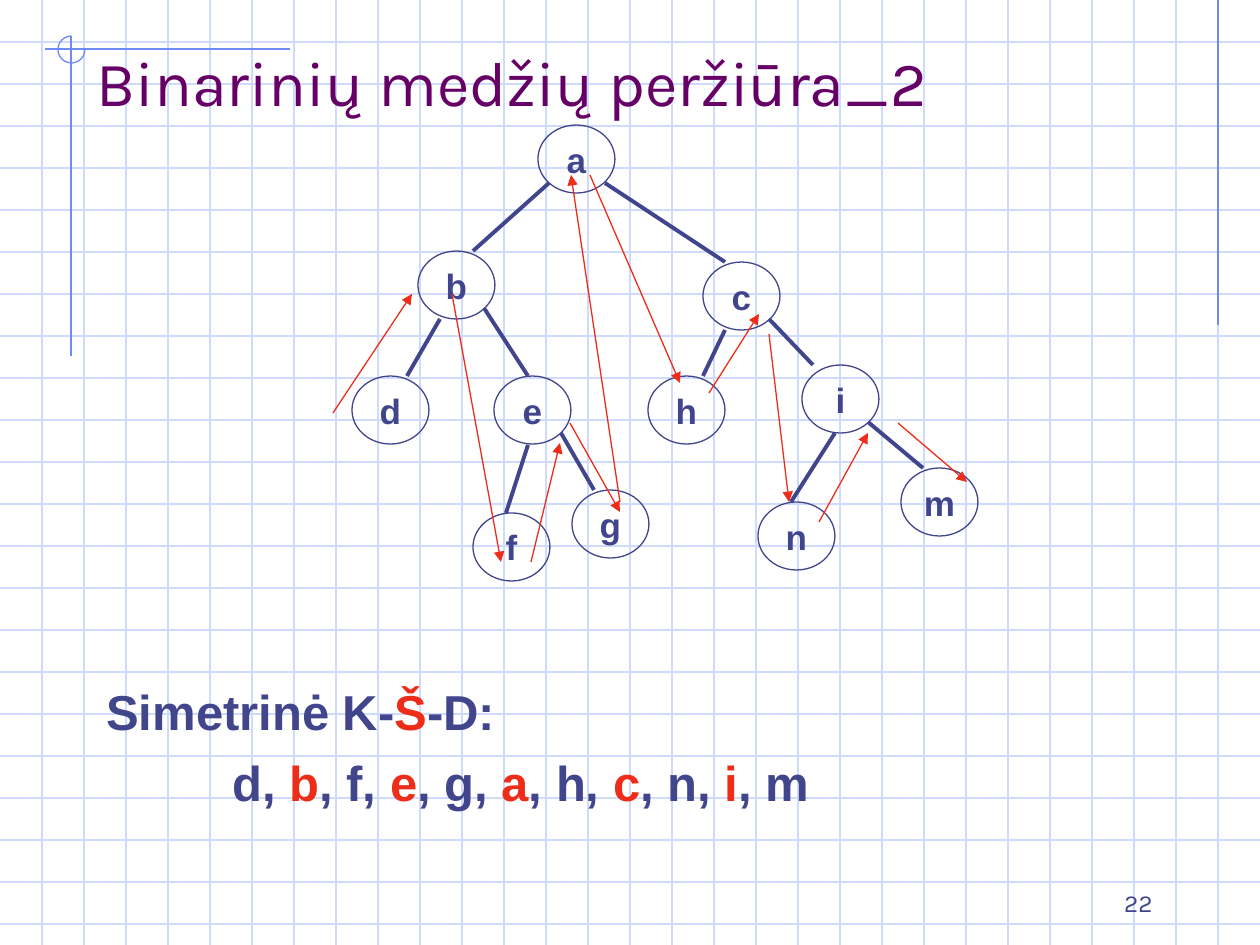
"""Slide on the symmetric (in-order) traversal of a binary tree."""
from lxml.etree import SubElement
from pptx import Presentation
from pptx.dml.color import RGBColor
from pptx.enum.shapes import MSO_CONNECTOR, MSO_SHAPE
from pptx.enum.text import MSO_ANCHOR, PP_ALIGN
from pptx.oxml.ns import qn
from pptx.util import Inches, Pt

PX = Inches(10) / 1260
WIDTH, HEIGHT, GRID_STEP = 1260, 945, 42
NODE_WIDTH, NODE_HEIGHT = 77, 68

GRID_BLUE = RGBColor(0xCF, 0xDB, 0xFD)
RULE_BLUE = RGBColor(0x6F, 0x89, 0xF7)
INK = RGBColor(0x40, 0x45, 0x8C)
RED = RGBColor(0xED, 0x2D, 0x19)
PURPLE = RGBColor(0x66, 0x00, 0x66)

TITLE_FONT = {"name": "Karla", "size": Pt(36)}
NUMBER_FONT = {"name": "Karla", "size": Pt(14)}
ORDER_FONT = {"name": "Arial", "size": Pt(28), "bold": True}
NODE_FONT = {"name": "Arial", "size": Pt(20), "bold": True}

presentation = Presentation()
presentation.slide_width = round(WIDTH * PX)
presentation.slide_height = round(HEIGHT * PX)
slide = presentation.slides.add_slide(presentation.slide_layouts[6])
shapes = slide.shapes


def draw_line(ends, colour, width=0.75, arrow=False):
    line = shapes.add_connector(MSO_CONNECTOR.STRAIGHT, *(round(n * PX) for n in ends))
    line.line.color.rgb = colour
    line.line.width = Pt(width)
    properties = line._element.spPr
    if arrow:
        SubElement(properties.find(qn("a:ln")), qn("a:tailEnd"), type="triangle")
    SubElement(properties, qn("a:effectLst"))


def write(frame, lines, font, frame_format, paragraph_format):
    for name, value in frame_format.items():
        setattr(frame, name, value)
    for index, runs in enumerate(lines):
        paragraph = frame.paragraphs[0] if index == 0 else frame.add_paragraph()
        for name, value in paragraph_format.items():
            setattr(paragraph, name, value)
        for text, colour in runs:
            run = paragraph.add_run()
            run.text = text
            run.font.color.rgb = colour
            for name, value in font.items():
                setattr(run.font, name, value)


for y in range(GRID_STEP, HEIGHT, GRID_STEP):
    draw_line((0, y, WIDTH, y), GRID_BLUE)
for x in range(GRID_STEP, WIDTH, GRID_STEP):
    draw_line((x, 0, x, HEIGHT), GRID_BLUE)

for rule in ((1218, 0, 1218, 325), (290, 49, 45, 49), (71, 36, 71, 356)):
    draw_line(rule, RULE_BLUE)

corner = shapes.add_shape(MSO_SHAPE.ARC, *(round(n * PX) for n in (58, 36, 27, 27)))
corner.adjustments[0] = 0
corner.adjustments[1] = 162
corner.shadow.inherit = False
corner.fill.background()
corner.line.color.rgb = RULE_BLUE
corner.line.width = Pt(0.75)

order_lines = [
    [("Simetrinė K-", INK), ("Š", RED), ("-D:", INK)],
    [("d, ", INK), ("b", RED), (", f, ", INK), ("e", RED), (", g, ", INK), ("a", RED),
     (", h, ", INK), ("c", RED), (", n, ", INK), ("i", RED), (", m", INK)],
]
captions = [
    ((903, 861, 262, 63), [[("22", INK)]], NUMBER_FONT,
     {"word_wrap": True, "vertical_anchor": MSO_ANCHOR.BOTTOM}, {"alignment": PP_ALIGN.RIGHT}),
    ((84, 42, 1071, 83), [[("Binarinių medžių peržiūra_2", PURPLE)]], TITLE_FONT,
     {"word_wrap": True, "vertical_anchor": MSO_ANCHOR.BOTTOM}, {}),
    ((94, 670, 1012, 140), order_lines, ORDER_FONT,
     {"word_wrap": True, "margin_top": round(12 * PX)}, {}),
]
for box, lines, font, frame_format, paragraph_format in captions:
    caption = shapes.add_textbox(*(round(n * PX) for n in box))
    write(caption.text_frame, lines, font, frame_format, paragraph_format)

order_row = caption.text_frame.paragraphs[1]
order_row.space_before = Pt(6.5)
order_row._p.get_or_add_pPr().set("marL", str(Inches(1)))

nodes = {
    "a": (538, 125), "b": (418, 251), "c": (703, 262), "d": (352, 376),
    "e": (494, 376), "g": (572, 490), "f": (473, 513), "h": (648, 376),
    "i": (802, 365), "n": (758, 502), "m": (901, 468),
}
for letter, corner_point in nodes.items():
    box = (*corner_point, NODE_WIDTH, NODE_HEIGHT)
    node = shapes.add_shape(MSO_SHAPE.OVAL, *(round(n * PX) for n in box))
    node.shadow.inherit = False
    node.fill.background()
    node.line.color.rgb = INK
    node.line.width = Pt(0.75)
    write(node.text_frame, [[(letter, INK)]], NODE_FONT,
          {"word_wrap": False, "vertical_anchor": MSO_ANCHOR.MIDDLE},
          {"alignment": PP_ALIGN.CENTER})

branches = [
    (549, 183, 473, 251), (440, 319, 407, 376), (605, 183, 725, 262),
    (528, 445, 506, 513), (484, 308, 528, 376), (835, 433, 791, 502),
    (725, 330, 703, 376), (561, 433, 594, 490), (769, 319, 813, 365),
    (868, 422, 923, 468),
]
for branch in branches:
    draw_line(branch, INK, width=2.25)

visits = [
    (333, 413, 412, 294), (452, 294, 501, 562), (531, 562, 560, 443),
    (570, 423, 620, 512), (620, 502, 571, 175), (590, 175, 680, 383),
    (709, 393, 759, 314), (769, 334, 789, 502), (819, 522, 868, 433),
    (898, 423, 967, 482),
]
for visit in visits:
    draw_line(visit, RED, arrow=True)

presentation.save("out.pptx")
